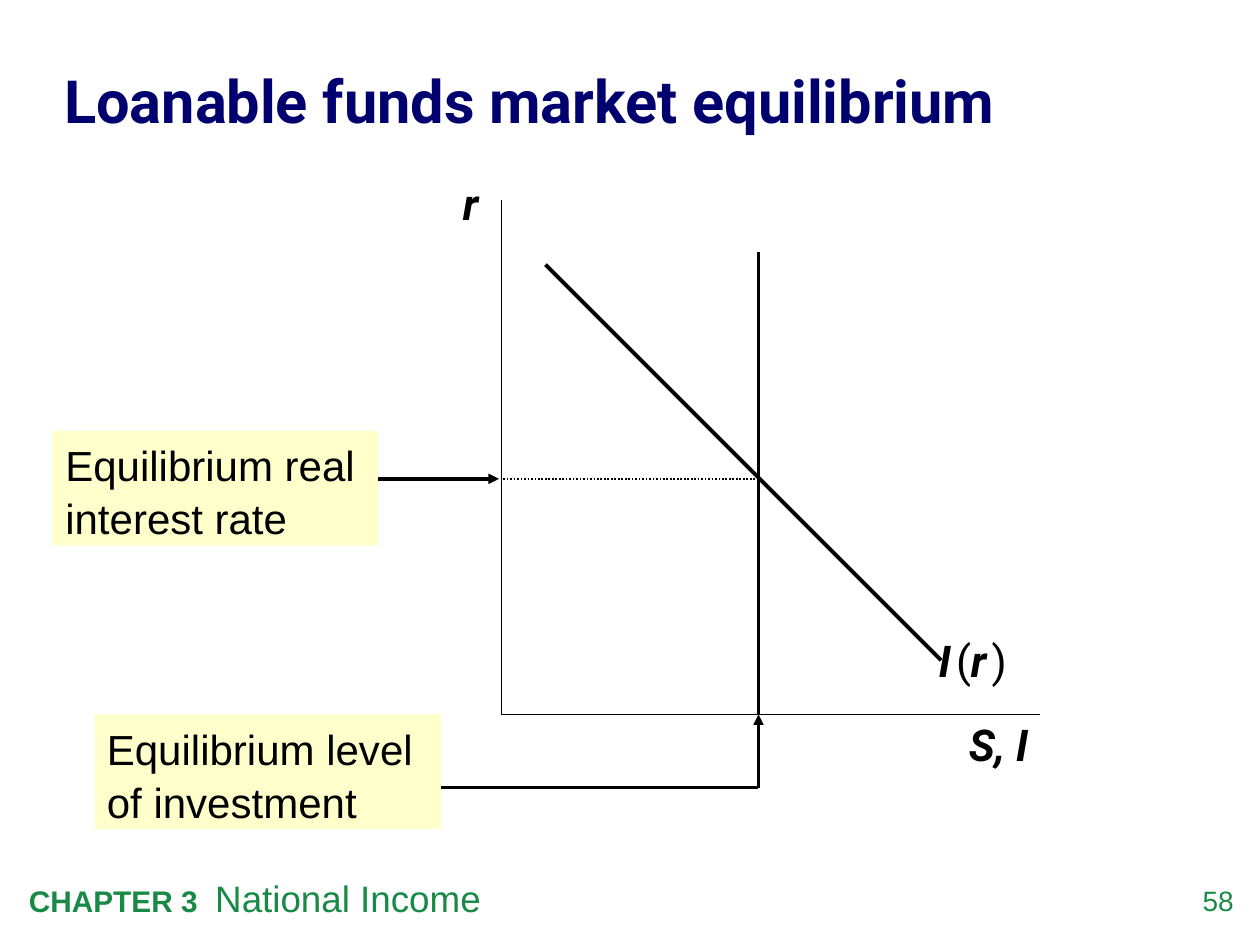
from lxml import etree
from pptx import Presentation
from pptx.dml.color import RGBColor
from pptx.enum import dml, shapes, text
from pptx.oxml.ns import qn
from pptx.util import Inches, Pt

BLACK, GREEN, NAVY, CREAM = "000000", "198A46", "00006E", "FFFFCC"
LABEL = dict(font="Roboto", size=25, bold=True, italic=True)


def color(hex_string):
    return RGBColor.from_string(hex_string)


def write(shape, runs, align=text.PP_ALIGN.LEFT, anchor=text.MSO_ANCHOR.TOP,
          inset=True, spacing=None, tab=None, **base):
    """Fill a shape with one paragraph of (words, format changes) runs."""
    frame = shape.text_frame
    frame.word_wrap = True
    frame.vertical_anchor = anchor
    if not inset:
        frame.margin_left = frame.margin_right = 0
        frame.margin_top = frame.margin_bottom = 0
    paragraph = frame.paragraphs[0]
    paragraph.alignment = align
    if spacing:
        paragraph.line_spacing = spacing
    if tab:
        stops = etree.SubElement(paragraph._p.get_or_add_pPr(), qn("a:tabLst"))
        etree.SubElement(stops, qn("a:tab"), pos=str(Inches(tab)), algn="l")
    for words, changes in runs:
        style = {**base, **changes}
        run = paragraph.add_run()
        run.text = words
        run.font.name = style.get("font", "Arial")
        run.font.size = Pt(style["size"])
        run.font.bold = style.get("bold", False)
        run.font.italic = style.get("italic", False)
        run.font.color.rgb = color(style.get("ink", BLACK))


def add_text(slide, box, words, **style):
    runs = [(words, {})] if isinstance(words, str) else words
    write(slide.shapes.add_textbox(*map(Inches, box)), runs, **style)


def add_line(slide, start, end, width, dash=None, arrow=False):
    line = slide.shapes.add_connector(
        shapes.MSO_CONNECTOR.STRAIGHT, *map(Inches, (*start, *end)))
    line.line.color.rgb = color(BLACK)
    line.line.width = Pt(width)
    if dash:
        line.line.dash_style = dash
    if arrow:
        etree.SubElement(line.line._get_or_add_ln(), qn("a:tailEnd"), type="triangle")
    etree.SubElement(line._element.spPr, qn("a:effectLst"))


def add_callout(slide, box, words, route, width):
    """A cream note whose arrow runs through the points of route."""
    note = slide.shapes.add_shape(shapes.MSO_SHAPE.RECTANGLE, *map(Inches, box))
    note.shadow.inherit = False
    note.fill.solid()
    note.fill.fore_color.rgb = color(CREAM)
    note.line.fill.background()
    write(note, [(words, {})], size=24, spacing=1.05)
    for start, end in zip(route, route[1:]):
        add_line(slide, start, end, width, arrow=end == route[-1])


def add_title(slide, box):
    add_text(slide, box, "Loanable funds market equilibrium", font="Roboto",
             size=34, bold=True, ink=NAVY, inset=False, spacing=1.05,
             anchor=text.MSO_ANCHOR.MIDDLE)


def add_market_graph(slide, box, equilibrium):
    left, top, width, height = box
    bottom = top + height
    quantity, rate = equilibrium
    add_line(slide, (left, top), (left, bottom), 0.75)
    add_line(slide, (left, bottom), (left + width, bottom), 0.75)
    centered = dict(LABEL, align=text.PP_ALIGN.CENTER)
    add_text(slide, (left - 0.48, top - 0.24, 0.47, 0.52), "r", **centered)
    add_text(slide, (left + 3.46, bottom - 0.02, 0.97, 0.52), "S, I", **centered)

    add_line(slide, (quantity, bottom), (quantity, top + 0.41), 2.25)
    demand_start = (left + 0.35, top + 0.51)
    demand_end = (demand_start[0] + 3.14, demand_start[1] + 3.14)
    add_line(slide, demand_start, demand_end, 2.25)
    upright = dict(bold=False, italic=False)
    gap = (" ", dict(size=12))
    add_text(slide, (demand_end[0] - 0.12, demand_end[1] - 0.26, 0.92, 0.52),
             [("I", {}), gap, ("(", upright), ("r", {}), gap, (")", upright)],
             **LABEL)
    add_line(slide, (quantity, rate), (left, rate), 1,
             dash=dml.MSO_LINE.ROUND_DOT)


def add_footer(slide, box):
    left, top, width, height = box
    add_text(slide, (left, top, 8.18, height),
             [("CHAPTER 3\t", dict(size=17, bold=True)), ("National Income", {})],
             size=21, ink=GREEN, tab=1.48)
    add_text(slide, (left + width - 0.55, top + 0.11, 0.55, 0.32), "58",
             size=16, ink=GREEN, inset=False, align=text.PP_ALIGN.RIGHT)


def main():
    deck = Presentation()
    deck.slide_width, deck.slide_height = Inches(10), Inches(7.5)
    slide = deck.slides.add_slide(deck.slide_layouts[6])
    graph = (3.98, 1.59, 4.27, 4.08)
    axis_x, axis_y = graph[0], graph[1] + graph[3]
    quantity, rate = equilibrium = (6.02, 3.8)

    add_footer(slide, (0.13, 6.9, 9.66, 0.45))
    add_title(slide, (0.51, 0.26, 9.02, 1.03))
    add_market_graph(slide, graph, equilibrium)
    add_callout(slide, (0.42, 3.42, 2.58, 0.91), "Equilibrium real interest rate",
                [(3, rate), (axis_x - 0.02, rate)], 2)
    add_callout(slide, (0.75, axis_y, 2.75, 0.91), "Equilibrium level of investment",
                [(3.5, 6.25), (quantity, 6.25), (quantity, axis_y)], 1.5)
    deck.save("out.pptx")


if __name__ == "__main__":
    main()
